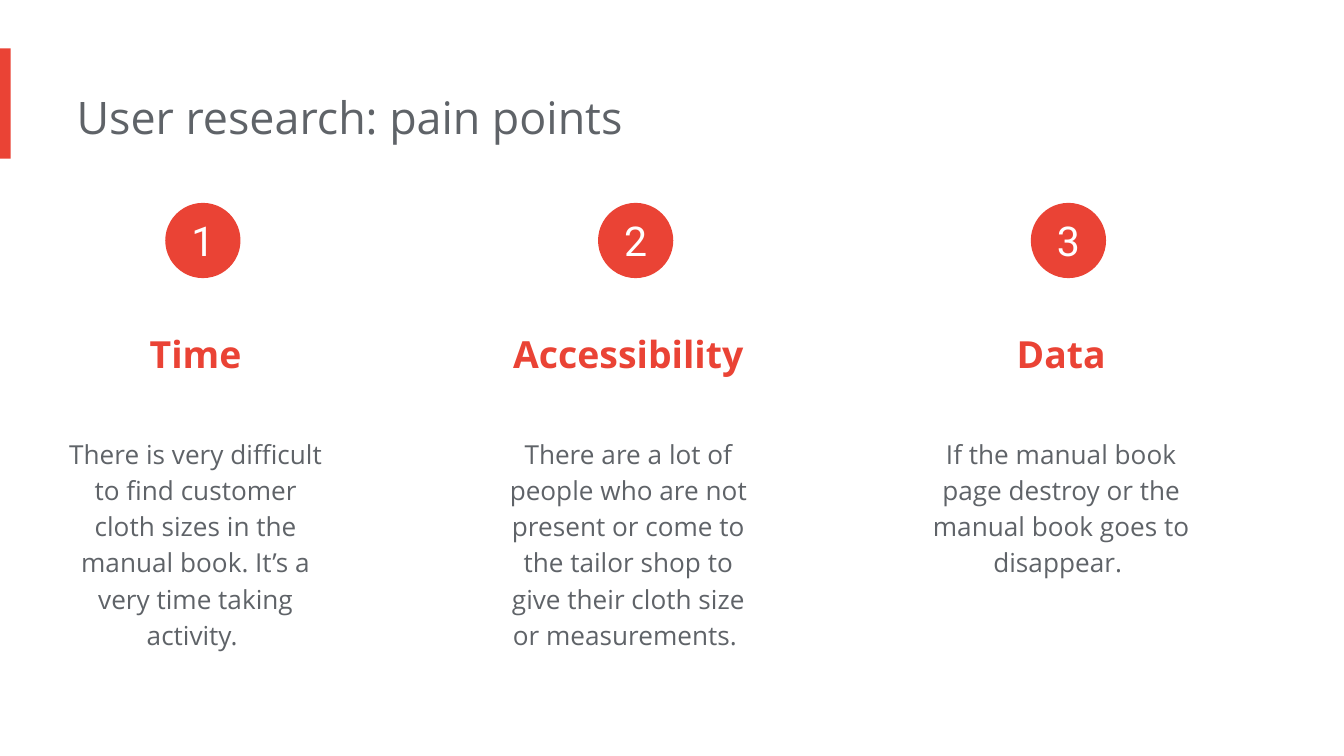
from dataclasses import dataclass

from pptx import Presentation
from pptx.dml.color import RGBColor
from pptx.enum.shapes import MSO_SHAPE
from pptx.enum.text import MSO_ANCHOR, PP_ALIGN
from pptx.shapes.autoshape import Shape
from pptx.slide import Slide
from pptx.util import Inches, Pt

COLORS = {"accent": "EA4335", "body": "5F6368", "light": "FFFFFF"}
COLUMN_STEP = 3.22


@dataclass(frozen=True)
class Box:
    """Position and size in inches."""

    left: float
    top: float
    width: float
    height: float

    def lengths(self) -> tuple[Inches, ...]:
        """Return the four lengths in drawing order."""
        return tuple(Inches(v) for v in (self.left, self.top, self.width, self.height))


@dataclass(frozen=True)
class TextStyle:
    """Look of one paragraph."""

    size: int
    color: str
    font: str = "Open Sans"
    bold: bool = False
    alignment: PP_ALIGN = PP_ALIGN.CENTER
    line_spacing: float = 1.0


@dataclass(frozen=True)
class PainPoint:
    """Heading and description of one column."""

    heading: str
    description: str
    height: float


TITLE = TextStyle(24, "body", alignment=PP_ALIGN.LEFT)
HEADING = TextStyle(20, "accent", bold=True, line_spacing=1.5)
DESCRIPTION = TextStyle(14, "body", line_spacing=1.15)
NUMBER = TextStyle(22, "light", font="Roboto")

PAIN_POINTS = [
    PainPoint(
        "Time",
        "There is very difficult to find customer cloth sizes in the manual book. "
        "It’s a very time taking activity. ",
        1.82,
    ),
    PainPoint(
        "Accessibility",
        "There are a lot of people who are not present or come to the tailor shop "
        "to give their cloth size or measurements. ",
        1.82,
    ),
    PainPoint(
        "Data",
        "If the manual book page destroy or the manual book goes to disappear. ",
        1.28,
    ),
]


def write_text(shape: Shape, text: str, style: TextStyle, inset: float) -> None:
    """Fill a shape with one styled paragraph."""
    frame = shape.text_frame
    frame.word_wrap = True
    frame.margin_left = Inches(0)
    frame.margin_top = frame.margin_right = frame.margin_bottom = Inches(inset)
    paragraph = frame.paragraphs[0]
    paragraph.alignment = style.alignment
    paragraph.line_spacing = style.line_spacing
    run = paragraph.add_run()
    run.text = text
    run.font.name = style.font
    run.font.size = Pt(style.size)
    run.font.bold = style.bold
    run.font.color.rgb = RGBColor.from_string(COLORS[style.color])


def add_text(slide: Slide, box: Box, text: str, style: TextStyle) -> None:
    """Add a text box with the common insets."""
    write_text(slide.shapes.add_textbox(*box.lengths()), text, style, 0.1)


def add_filled_shape(slide: Slide, kind: MSO_SHAPE, box: Box) -> Shape:
    """Add an accent shape without outline or shadow."""
    shape = slide.shapes.add_shape(kind, *box.lengths())
    shape.shadow.inherit = False
    shape.fill.solid()
    shape.fill.fore_color.rgb = RGBColor.from_string(COLORS["accent"])
    shape.line.fill.background()
    return shape


def add_pain_point(slide: Slide, index: int, point: PainPoint) -> None:
    """Add one numbered column."""
    offset = index * COLUMN_STEP
    left = 0.48 + offset
    add_text(slide, Box(left, 2.2, 2.05, 0.7), point.heading, HEADING)
    add_text(slide, Box(left, 3.13, 2.05, point.height), point.description, DESCRIPTION)
    circle = add_filled_shape(slide, MSO_SHAPE.OVAL, Box(1.23 + offset, 1.51, 0.56, 0.56))
    circle.text_frame.vertical_anchor = MSO_ANCHOR.MIDDLE
    write_text(circle, str(index + 1), NUMBER, 0)


def main() -> None:
    """Build and save the slide."""
    presentation = Presentation()
    presentation.slide_width = Inches(10)
    presentation.slide_height = Inches(10 * 9 / 16)
    slide = presentation.slides.add_slide(presentation.slide_layouts[6])
    add_filled_shape(slide, MSO_SHAPE.RECTANGLE, Box(0, 0.36, 0.08, 0.82))
    add_text(slide, Box(0.57, 0.57, 6.73, 0.61), "User research: pain points", TITLE)
    for index, point in enumerate(PAIN_POINTS):
        add_pain_point(slide, index, point)
    presentation.save("out.pptx")


if __name__ == "__main__":
    main()
